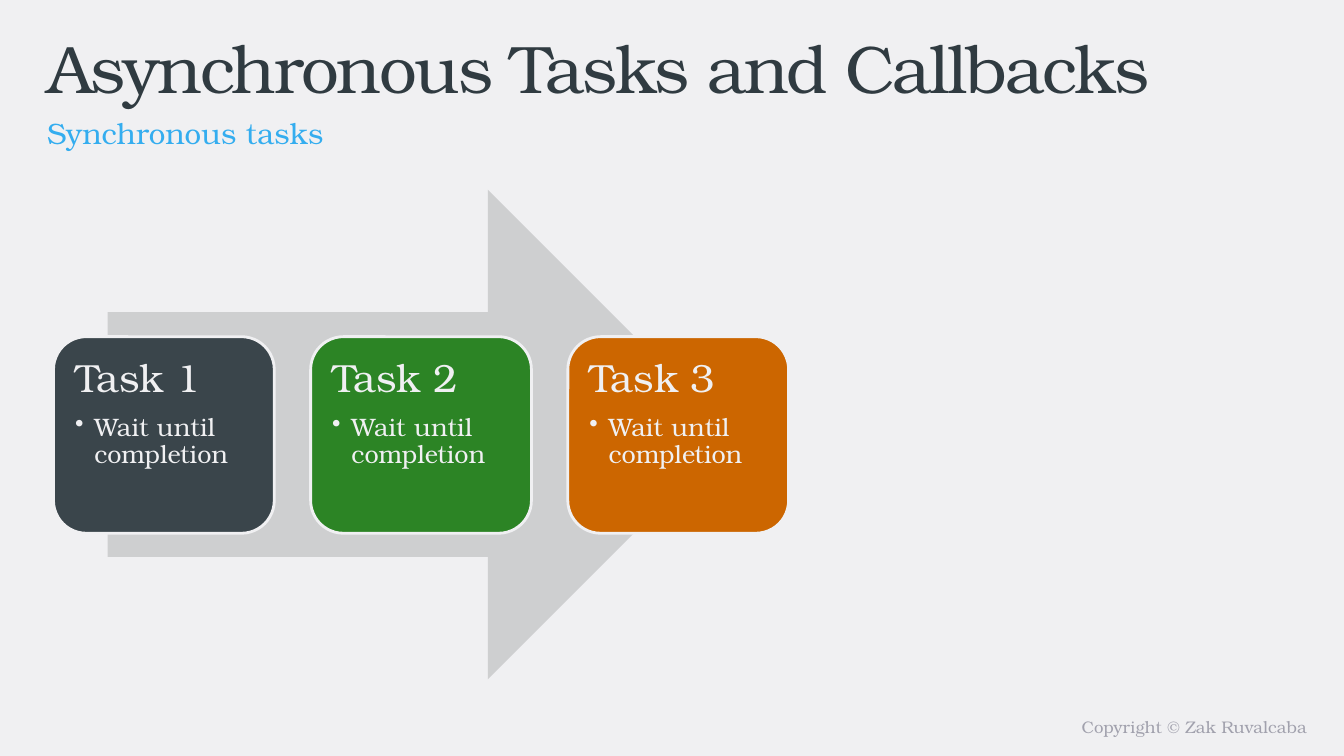
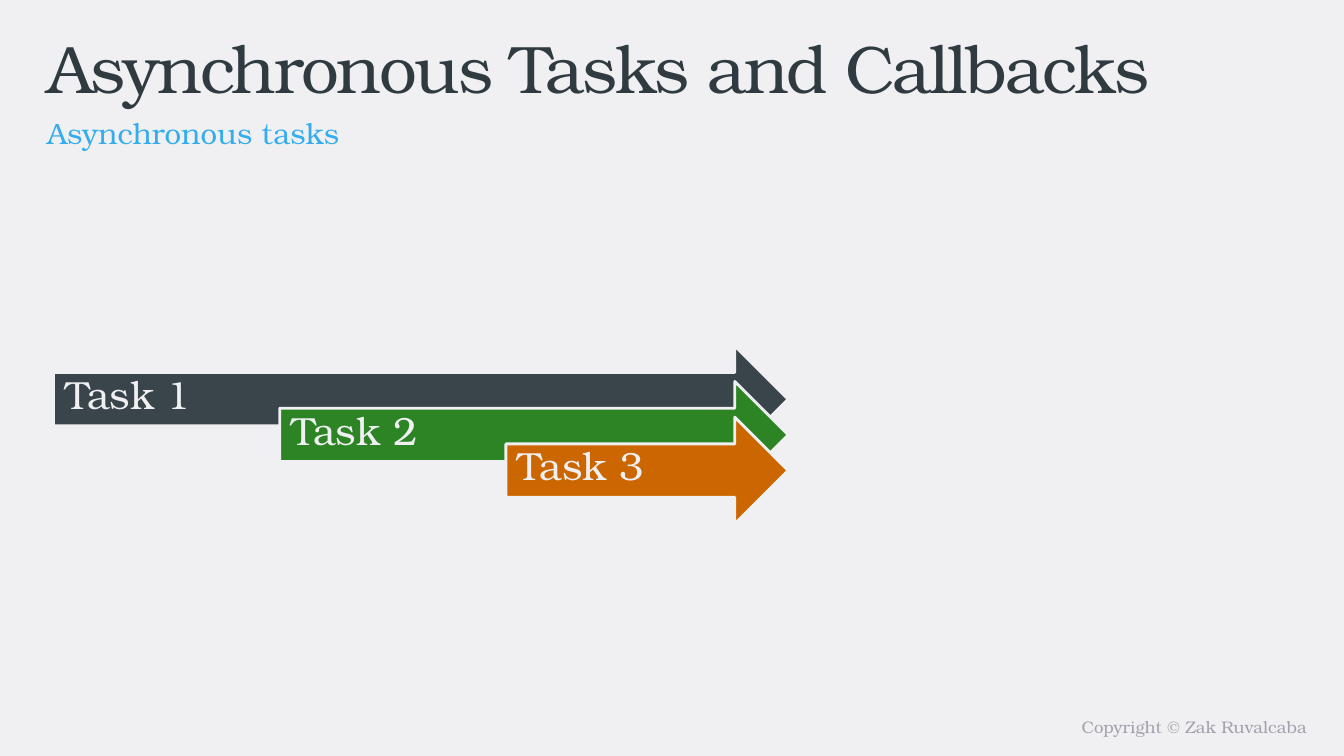
from pptx import Presentation
from pptx.dml.color import RGBColor
from pptx.enum.shapes import MSO_SHAPE
from pptx.enum.text import MSO_ANCHOR, MSO_AUTO_SIZE, PP_ALIGN
from pptx.oxml.ns import qn
from pptx.util import Pt
from lxml.etree import SubElement

FONT = "TeX Gyre Bonum"
BACKGROUND = "F0F0F2"
ARROW_GRAY = "CECFD0"
TITLE = "Asynchronous Tasks and Callbacks"
FOOTER = "Copyright © Zak Ruvalcaba"
TASKS = [("Task 1", "3A454B"), ("Task 2", "2C8425"), ("Task 3", "CC6600")]

TITLE_STYLE = {"size": 48, "color": "303B41", "tracking": -1.5}
SUBTITLE_STYLE = {"size": 21, "color": "34ADEF", "line_spacing": 1.3, "space_before": Pt(4.2)}
FOOTER_STYLE = {"size": 12, "color": "A1A1AD", "alignment": PP_ALIGN.RIGHT}
TASK_STYLE = {"size": 28, "color": BACKGROUND, "alignment": PP_ALIGN.LEFT,
              "line_spacing": 0.9, "space_after": Pt(9.8)}
DETAIL_STYLE = TASK_STYLE | {"size": 18, "space_after": Pt(2.7), "bullet_indent": 13.7}

TASK_LEFT = 38.2
TASK_RIGHT = 563


def rgb(color):
    return RGBColor.from_string(color)


def write(paragraph, text, style):
    run = paragraph.add_run()
    run.text = text
    font_values = {"name": FONT, "size": Pt(style["size"]), "bold": False}
    for name, value in font_values.items():
        setattr(run.font, name, value)
    run.font.color.rgb = rgb(style["color"])
    for name in ("alignment", "line_spacing", "space_before", "space_after"):
        if name in style:
            setattr(paragraph, name, style[name])
    if "tracking" in style:
        run._r.get_or_add_rPr().set("spc", str(int(style["tracking"] * 100)))
    if "bullet_indent" in style:
        properties = paragraph._p.get_or_add_pPr()
        indent = Pt(style["bullet_indent"])
        properties.set("marL", str(indent))
        properties.set("indent", str(-indent))
        SubElement(properties, qn("a:buChar")).set("char", "•")


def set_frame(frame, anchor, insets):
    frame.word_wrap = True
    frame.auto_size = MSO_AUTO_SIZE.NONE
    frame.vertical_anchor = anchor
    for side, inset in zip(("left", "top", "right", "bottom"), insets):
        setattr(frame, f"margin_{side}", Pt(inset))


def add_text(slide, box, text, style):
    frame = slide.shapes.add_textbox(*map(Pt, box)).text_frame
    set_frame(frame, MSO_ANCHOR.TOP, (7.2, 3.6, 7.2, 3.6))
    write(frame.paragraphs[0], text, style)


def add_filled_shape(slide, preset, box, color, outlined=True):
    shape = slide.shapes.add_shape(preset, *map(Pt, box))
    shape.shadow.inherit = False
    shape.fill.solid()
    shape.fill.fore_color.rgb = rgb(color)
    if outlined:
        shape.line.color.rgb = rgb(BACKGROUND)
        shape.line.width = Pt(2)
    else:
        shape.line.fill.background()
    return shape


def add_titled_slide(presentation, subtitle):
    slide = presentation.slides.add_slide(presentation.slide_layouts[5])
    title = slide.shapes.title
    for name, value in zip(("left", "top", "width", "height"), (26.6, 15.1, 846.7, 56.9)):
        setattr(title, name, Pt(value))
    set_frame(title.text_frame, MSO_ANCHOR.TOP, (7.2, 3.6, 7.2, 3.6))
    title_style = TITLE_STYLE | {"alignment": PP_ALIGN.LEFT}
    write(title.text_frame.paragraphs[0], TITLE, title_style)
    add_text(slide, (26.6, 71.3, 846.7, 28.1), subtitle, SUBTITLE_STYLE)
    add_text(slide, (480, 508.3, 460.8, 22.3), FOOTER, FOOTER_STYLE)
    return slide


def add_task_card(slide, left, name, color):
    card = add_filled_shape(slide, MSO_SHAPE.ROUNDED_RECTANGLE, (left, 240.5, 157.7, 140.4), color)
    frame = card.text_frame
    set_frame(frame, MSO_ANCHOR.TOP, (8.6, 8.6, 8.6, 8.6))
    write(frame.paragraphs[0], name, TASK_STYLE)
    write(frame.add_paragraph(), "Wait until completion", DETAIL_STYLE)


def add_task_arrow(slide, left, top, name, color):
    box = (left, top, TASK_RIGHT - left, 76.3)
    arrow = add_filled_shape(slide, MSO_SHAPE.RIGHT_ARROW, box, color)
    set_frame(arrow.text_frame, MSO_ANCHOR.MIDDLE, (8.6, 8.6, 20.2, 12.2))
    write(arrow.text_frame.paragraphs[0], name, TASK_STYLE)


def build_synchronous(presentation):
    slide = add_titled_slide(presentation, "Synchronous tasks")
    add_filled_shape(slide, MSO_SHAPE.RIGHT_ARROW, (77, 135.4, 446.4, 349.9), ARROW_GRAY, outlined=False)
    for index, (name, color) in enumerate(TASKS):
        add_task_card(slide, TASK_LEFT + index * 183.7, name, color)


def build_asynchronous(presentation):
    slide = add_titled_slide(presentation, "Asynchronous tasks")
    for index, (name, color) in enumerate(TASKS):
        add_task_arrow(slide, TASK_LEFT + index * 161.6, 247 + index * 25.5, name, color)


def main():
    presentation = Presentation()
    presentation.slide_width = Pt(960)
    presentation.slide_height = Pt(540)
    background = presentation.slide_master.background.fill
    background.solid()
    background.fore_color.rgb = rgb(BACKGROUND)
    build_synchronous(presentation)
    build_asynchronous(presentation)
    presentation.save("out.pptx")


main()
